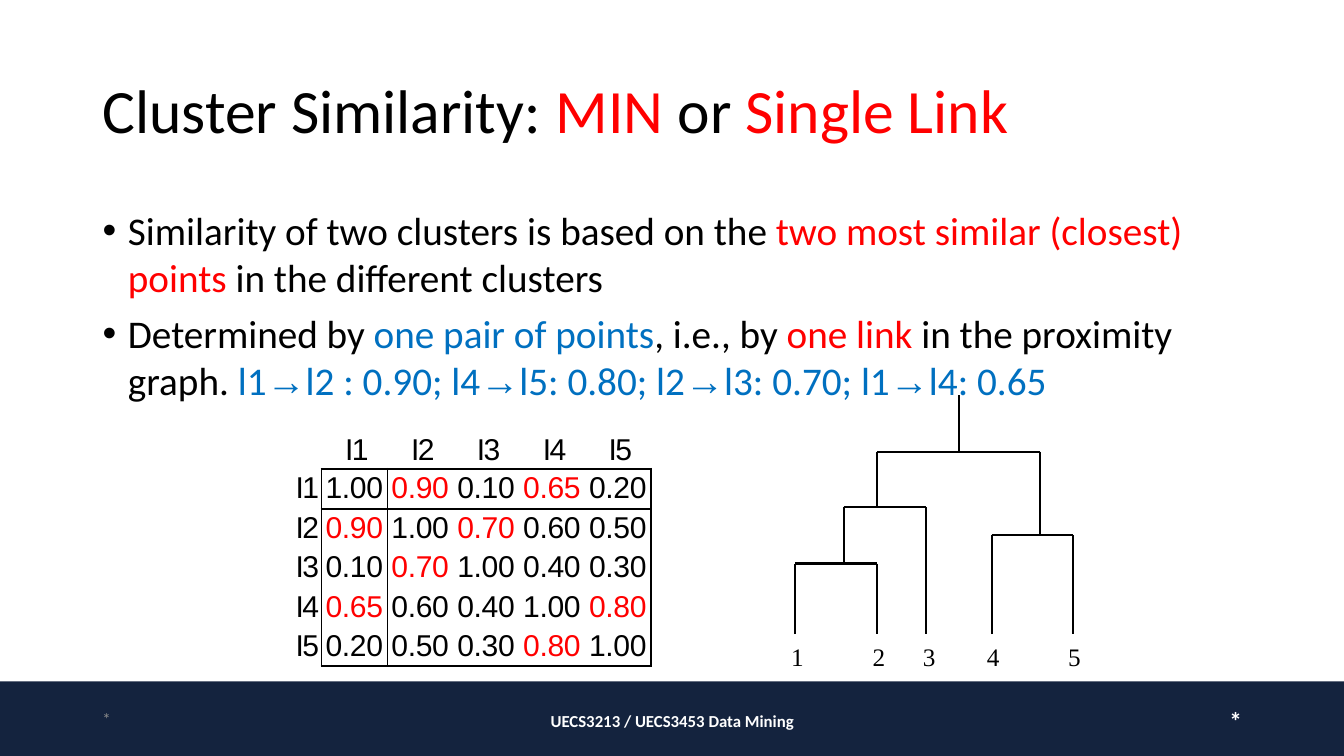
from dataclasses import dataclass
from typing import Optional

from lxml.etree import SubElement
from pptx import Presentation
from pptx.dml.color import RGBColor
from pptx.enum.shapes import MSO_CONNECTOR, MSO_SHAPE
from pptx.enum.text import MSO_ANCHOR, MSO_AUTO_SIZE, PP_ALIGN
from pptx.oxml.ns import qn
from pptx.util import Cm, Pt

BLACK, WHITE, RED, BLUE = "000000", "FFFFFF", "FF0000", "0070C0"
NAVY, GRAY = "14233E", "8C8C8C"
NO_STYLE = "{2D5ABB26-0587-4C30-8999-92F81FD0307C}"


@dataclass
class Span:
    text: str
    color: str = BLACK
    font: Optional[str] = None


@dataclass
class Merge:
    """A join of two branches; all values are in centimetres."""
    left: float
    left_bottom: float
    right: float
    right_bottom: float
    height: float


@dataclass
class Label:
    text: str
    left: float
    top: float
    width: float
    height: float
    size: float
    color: str = WHITE
    font: str = "Calibri"
    bold: bool = False
    align: PP_ALIGN = PP_ALIGN.LEFT
    margins: tuple = (0.25, 0.13)
    anchor: MSO_ANCHOR = MSO_ANCHOR.MIDDLE
    tab: Optional[float] = None


def rgb(color: str) -> RGBColor:
    return RGBColor.from_string(color)


def set_font(font, name: str, size: float, color: Optional[str] = None, bold: bool = False) -> None:
    font.name, font.size, font.bold = name, Pt(size), bold
    if color:
        font.color.rgb = rgb(color)


def place(shape, left: float, top: float, width: float, height: float) -> None:
    shape.left, shape.top = Cm(left), Cm(top)
    shape.width, shape.height = Cm(width), Cm(height)


def add_spans(paragraph, spans: list, size: float) -> None:
    set_font(paragraph.font, "Calibri", size)
    for span in spans:
        run = paragraph.add_run()
        run.text = span.text
        run.font.color.rgb = rgb(span.color)
        if span.font:
            run.font.name = span.font


def arrow_spans(text: str, color: str) -> list:
    parts = text.replace("→", "|→|").split("|")
    return [Span(part, color, "Arial" if part == "→" else None) for part in parts]


def add_label(slide, label: Label) -> None:
    box = slide.shapes.add_textbox(Cm(label.left), Cm(label.top), Cm(label.width), Cm(label.height))
    frame = box.text_frame
    frame.word_wrap = True
    frame.vertical_anchor = label.anchor
    frame.margin_left = frame.margin_right = Cm(label.margins[0])
    frame.margin_top = frame.margin_bottom = Cm(label.margins[1])
    paragraph = frame.paragraphs[0]
    paragraph.alignment = label.align
    if label.tab:
        tabs = SubElement(paragraph._p.get_or_add_pPr(), qn("a:tabLst"))
        SubElement(tabs, qn("a:tab"), pos=str(Cm(label.tab)), algn="l")
    set_font(paragraph.font, label.font, label.size, label.color, label.bold)
    paragraph.add_run().text = label.text


def add_line(slide, x1: float, y1: float, x2: float, y2: float) -> None:
    line = slide.shapes.add_connector(MSO_CONNECTOR.STRAIGHT, Cm(x1), Cm(y1), Cm(x2), Cm(y2))
    line.line.color.rgb = rgb(BLACK)
    line.line.width = Pt(1.5)
    SubElement(line._element.spPr, qn("a:effectLst"))


def add_border(cell, side: str, width: float) -> None:
    border = SubElement(cell._tc.get_or_add_tcPr(), qn(f"a:ln{side}"), w=str(Pt(width)))
    fill = SubElement(border, qn("a:solidFill"))
    SubElement(fill, qn("a:srgbClr"), val=BLACK)


def fill_cell(cell, text: str, color: str, spacing: int, line_height: float) -> None:
    cell.margin_left = cell.margin_right = cell.margin_top = cell.margin_bottom = 0
    paragraph = cell.text_frame.paragraphs[0]
    paragraph.alignment = PP_ALIGN.CENTER
    paragraph.line_spacing = Pt(line_height)
    set_font(paragraph.font, "Arial", 21.5, color)
    if text:
        run = paragraph.add_run()
        run.text = text
        run._r.get_or_add_rPr().set("spc", str(spacing))


def add_similarity_table(slide) -> None:
    names = ["I1", "I2", "I3", "I4", "I5"]
    pairs = {(0, 1): 0.9, (0, 2): 0.1, (0, 3): 0.65, (0, 4): 0.2, (1, 2): 0.7,
             (1, 3): 0.6, (1, 4): 0.5, (2, 3): 0.4, (2, 4): 0.3, (3, 4): 0.8}
    links = {(0, 1), (3, 4), (1, 2), (0, 3)}
    count = len(names)
    widths = [0.71] + [1.66] * count
    heights = [0.89, 1.02] + [0.99] * (count - 1)
    frame = slide.shapes.add_table(count + 1, count + 1, Cm(7.39), Cm(10.92),
                                   Cm(sum(widths)), Cm(sum(heights)))
    table = frame.table
    table.first_row = table.horz_banding = False
    table._tbl.tblPr.find(qn("a:tableStyleId")).text = NO_STYLE
    for column, width in zip(table.columns, widths):
        column.width = Cm(width)
    for row, height in zip(table.rows, heights):
        row.height = Cm(height)

    for i in range(count + 1):
        for j in range(count + 1):
            cell = table.cell(i, j)
            pair = (min(i, j) - 1, max(i, j) - 1)
            if i and j:
                text, spacing = f"{pairs.get(pair, 1):.2f}", -25
            else:
                text, spacing = ("" if i == j else names[pair[1]]), -110
            fill_cell(cell, text, RED if pair in links else BLACK, spacing, 25.6 if i else 23.8)
            if i == 0 and j:
                cell.text_frame.paragraphs[0]._p.get_or_add_pPr().set("marL", str(Cm(0.13)))
            # Frame around the values, with rules after the first row and column
            if i and j == 1:
                add_border(cell, "L", 1.5)
            if i and j in (0, 1, count):
                add_border(cell, "R", 0.75 if j == 1 else 1.5)
            if i == 1 and j:
                add_border(cell, "T", 1.5)
            if j and i in (0, 1, count):
                add_border(cell, "B", 1.5)
            cell.fill.background()


def add_dendrogram(slide) -> None:
    leaf = 15.98
    merges = [Merge(20.04, leaf, 22.1, leaf, 14.2), Merge(24.99, leaf, 27.05, leaf, 13.49),
              Merge(21.26, 14.2, 23.34, leaf, 12.78), Merge(22.1, 12.78, 26.21, 13.49, 11.38)]
    for merge in merges:
        add_line(slide, merge.left, merge.left_bottom, merge.left, merge.height)
        add_line(slide, merge.left, merge.height, merge.right, merge.height)
        add_line(slide, merge.right, merge.height, merge.right, merge.right_bottom)
    add_line(slide, 24.16, 11.38, 24.16, 9.96)
    for text, left, width, tab in [("1", 19.94, 0.38, None), ("2\t3", 21.99, 1.63, 1.27),
                                   ("4", 24.87, 0.38, None), ("5", 26.92, 0.38, None)]:
        add_label(slide, Label(text, left, 16.13, width, 0.81, 18, BLACK, "Times New Roman",
                               margins=(0, 0.03), anchor=MSO_ANCHOR.TOP, tab=tab))


def main() -> None:
    presentation = Presentation()
    presentation.slide_width, presentation.slide_height = Cm(33.87), Cm(19.05)
    slide = presentation.slides.add_slide(presentation.slide_layouts[1])

    # Title
    title = slide.shapes.title
    place(title, 2.33, 1.02, 29.21, 3.68)
    title.text_frame.vertical_anchor = MSO_ANCHOR.MIDDLE
    heading = title.text_frame.paragraphs[0]
    heading.alignment = PP_ALIGN.LEFT
    heading.line_spacing = 0.9
    add_spans(heading, [Span("Cluster Similarity: "), Span("MIN ", RED), Span("or "),
                        Span("Single Link", RED)], 44)

    # Bullets
    body = slide.placeholders[1]
    place(body, 2.33, 5.08, 29.21, 12.09)
    body.text_frame.auto_size = MSO_AUTO_SIZE.NONE
    bullets = [
        [Span("Similarity of two clusters is based on the "),
         Span("two most similar (closest) points", RED), Span(" in the different clusters")],
        [Span("Determined by "), Span("one pair of points", BLUE), Span(", i.e., by "),
         Span("one link", RED), Span(" in the proximity graph. "),
         *arrow_spans("l1→l2 : 0.90; l4→l5: 0.80; l2→l3: 0.70; l1→l4: 0.65", BLUE)],
    ]
    for index, spans in enumerate(bullets):
        paragraph = body.text_frame.add_paragraph() if index else body.text_frame.paragraphs[0]
        properties = paragraph._p.get_or_add_pPr()
        properties.set("marL", str(Cm(0.64)))
        properties.set("indent", str(Cm(-0.64)))
        paragraph.space_before = Pt(6 if index else 0)
        add_spans(paragraph, spans, 28)

    add_similarity_table(slide)
    add_dendrogram(slide)

    # Footer
    bar = slide.shapes.add_shape(MSO_SHAPE.RECTANGLE, 0, Cm(17.17), Cm(33.87), Cm(1.88))
    bar.shadow.inherit = False
    bar.fill.solid()
    bar.fill.fore_color.rgb = rgb(NAVY)
    bar.line.fill.background()
    for label in [
        Label("*", 23.93, 17.65, 7.62, 1.02, 18, bold=True, align=PP_ALIGN.RIGHT),
        Label("UECS3213 / UECS3453 Data Mining", 11.23, 17.65, 11.43, 1.02, 12, bold=True,
              align=PP_ALIGN.CENTER),
        Label("*", 2.33, 17.6, 7.62, 1.02, 12, GRAY),
    ]:
        add_label(slide, label)

    presentation.save("out.pptx")


if __name__ == "__main__":
    main()
